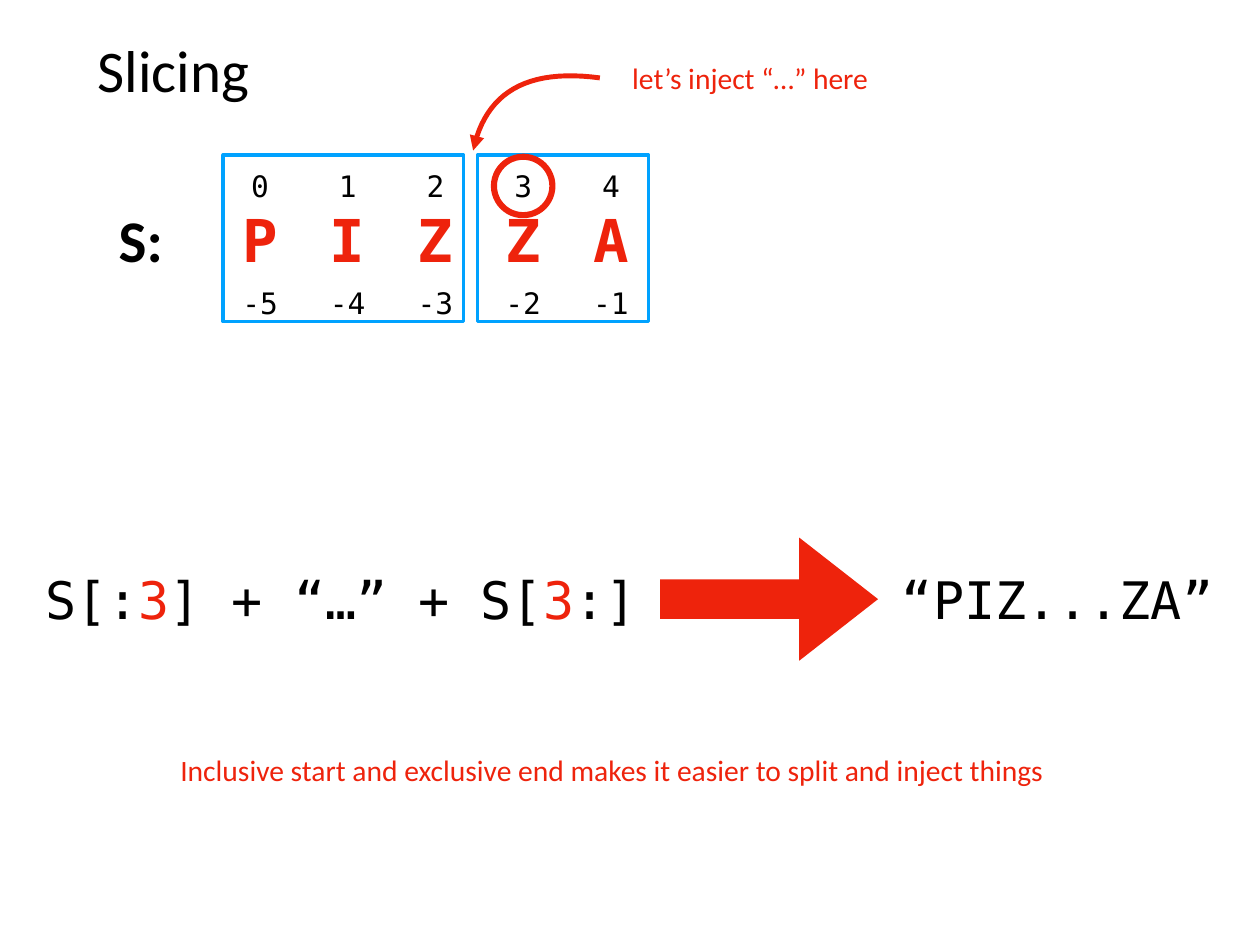
from dataclasses import dataclass

from lxml import etree
from pptx import Presentation
from pptx.dml.color import RGBColor
from pptx.enum.shapes import MSO_SHAPE as SHAPE
from pptx.enum.text import MSO_ANCHOR as ANCHOR, MSO_AUTO_SIZE as AUTO, PP_ALIGN as ALIGN
from pptx.oxml.ns import qn
from pptx.util import Inches, Pt


@dataclass(frozen=True)
class Theme:
    black: RGBColor = RGBColor.from_string("000000")
    red: RGBColor = RGBColor.from_string("EE230C")
    blue: RGBColor = RGBColor.from_string("00A2FF")
    sans: str = "Calibri"
    mono: str = "DejaVu Sans Mono"
    big: int = 48
    code: int = 42
    small: int = 24
    inset: float = 0.06


T = Theme()


def format_frame(tf, size, font, color, bold=False, align=ALIGN.LEFT):
    tf.auto_size = AUTO.NONE
    tf.vertical_anchor = ANCHOR.MIDDLE
    tf.margin_left = tf.margin_right = tf.margin_top = tf.margin_bottom = Inches(T.inset)
    p = tf.paragraphs[0]
    p.alignment = align
    for r in p.runs:
        r.font.size, r.font.name, r.font.bold = Pt(size), font, bold
        r.font.color.rgb = color


def add_text(s, box, text, size, font, color, bold=False, align=ALIGN.CENTER):
    tf = s.shapes.add_textbox(*map(Inches, box)).text_frame
    tf.text = text
    tf.word_wrap = False
    format_frame(tf, size, font, color, bold, align)
    return tf


def style_outline(shape, color, width):
    shape.shadow.inherit = False
    shape.fill.background()
    shape.line.color.rgb = color
    shape.line.width = Pt(width)


def add_outline(s, kind, box, color, width):
    style_outline(s.shapes.add_shape(kind, *map(Inches, box)), color, width)


def add_title(s, box):
    title = s.shapes.title
    title.left, title.top, title.width, title.height = map(Inches, box)
    title.text_frame.text = "Slicing"
    format_frame(title.text_frame, T.big, T.sans, T.black)


def add_string_diagram(s, box, word, cut):
    x, y, w, h = box
    add_text(s, (x, y + 0.51, 0.92, 0.88), "S:", T.big, T.sans, T.black,
             bold=True, align=ALIGN.LEFT)

    # Letters with their indices above and below
    cell, pitch, first = 0.53, 0.99, x + 1.39
    for i, letter in enumerate(word):
        left = first + i * pitch
        add_text(s, (left, y + 0.49, cell, 0.92), letter, T.big, T.mono, T.red, bold=True)
        add_text(s, (left, y + 0.09, cell, 0.51), str(i), T.small, T.mono, T.black)
        add_text(s, (left, y + 1.41, cell, 0.51), str(i - len(word)), T.small, T.mono, T.black)

    # The two slices
    start, split, gap = x + 1.24, x + 3.95, 0.16
    add_outline(s, SHAPE.RECTANGLE, (start, y, split - start, h), T.blue, 3)
    add_outline(s, SHAPE.RECTANGLE, (split + gap, y, x + w - split - gap, h), T.blue, 3)

    # Ring around the index of the cut
    ring = 0.66
    center = first + cut * pitch + cell / 2
    add_outline(s, SHAPE.OVAL, (center - ring / 2, y + 0.02, ring, ring), T.red, 5)


def add_callout(s, box):
    x, y, w, h = box
    add_text(s, (x + 1.7, y, w - 1.7, 0.5), "let’s inject “…” here", T.small, T.sans, T.red)

    # Curved arrow down to the gap, a cubic Bézier
    ctrl = [(x + 1.43, y + 0.25), (x + 0.61, y + 0.14), (x + 0.14, y + 0.41), (x, y + h)]
    steps = 24
    points = []
    for k in range(steps + 1):
        t = k / steps
        weights = ((1 - t) ** 3, 3 * t * (1 - t) ** 2, 3 * t ** 2 * (1 - t), t ** 3)
        points.append([Inches(sum(c * q[axis] for c, q in zip(weights, ctrl)))
                       for axis in (0, 1)])
    builder = s.shapes.build_freeform(*points[0])
    builder.add_line_segments(points[1:], close=False)
    arrow = builder.convert_to_shape()
    style_outline(arrow, T.red, 4)
    etree.SubElement(arrow.line._get_or_add_ln(), qn("a:tailEnd"), type="triangle")


def add_expression(s, box):
    x, y, w, h = box
    text_top, text_h = y + 0.3, 0.79
    tf = add_text(s, (x, text_top, 6.8, text_h), "", T.code, T.mono, T.black)
    p = tf.paragraphs[0]
    parts = ("S[:", "3", "] + “…” + S[", "3", ":]")
    for part in parts:
        p.add_run().text = part
    format_frame(tf, T.code, T.mono, T.black)
    for r in p.runs[1::2]:
        r.font.color.rgb = T.red

    # Arrow to the result
    arrow = s.shapes.add_shape(SHAPE.RIGHT_ARROW, *map(Inches, (x + 7, y, 2.46, h)))
    arrow.adjustments[0], arrow.adjustments[1] = 0.32, 0.64
    arrow.shadow.inherit = False
    arrow.fill.solid()
    arrow.fill.fore_color.rgb = T.red
    arrow.line.fill.background()

    result_w = 3.64
    add_text(s, (x + w - result_w, text_top, result_w, text_h), "“PIZ...ZA”",
             T.code, T.mono, T.black, align=ALIGN.LEFT)


def add_takeaway(s, box):
    add_text(s, box, "Inclusive start and exclusive end makes it easier to split and inject things",
             T.small, T.sans, T.red)


def main():
    prs = Presentation()
    prs.slide_width, prs.slide_height = Inches(14.22), Inches(10.67)
    s = prs.slides.add_slide(prs.slide_layouts[5])
    add_title(s, (1.04, 0.28, 12.14, 0.99))
    add_string_diagram(s, (1.28, 1.75, 6.04, 1.88), "PIZZA", 3)
    add_callout(s, (5.34, 0.63, 4.55, 1.07))
    add_expression(s, (0.45, 6.07, 13.31, 1.39))
    add_takeaway(s, (1.98, 8.44, 9.85, 0.5))
    prs.save("out.pptx")


if __name__ == "__main__":
    main()
